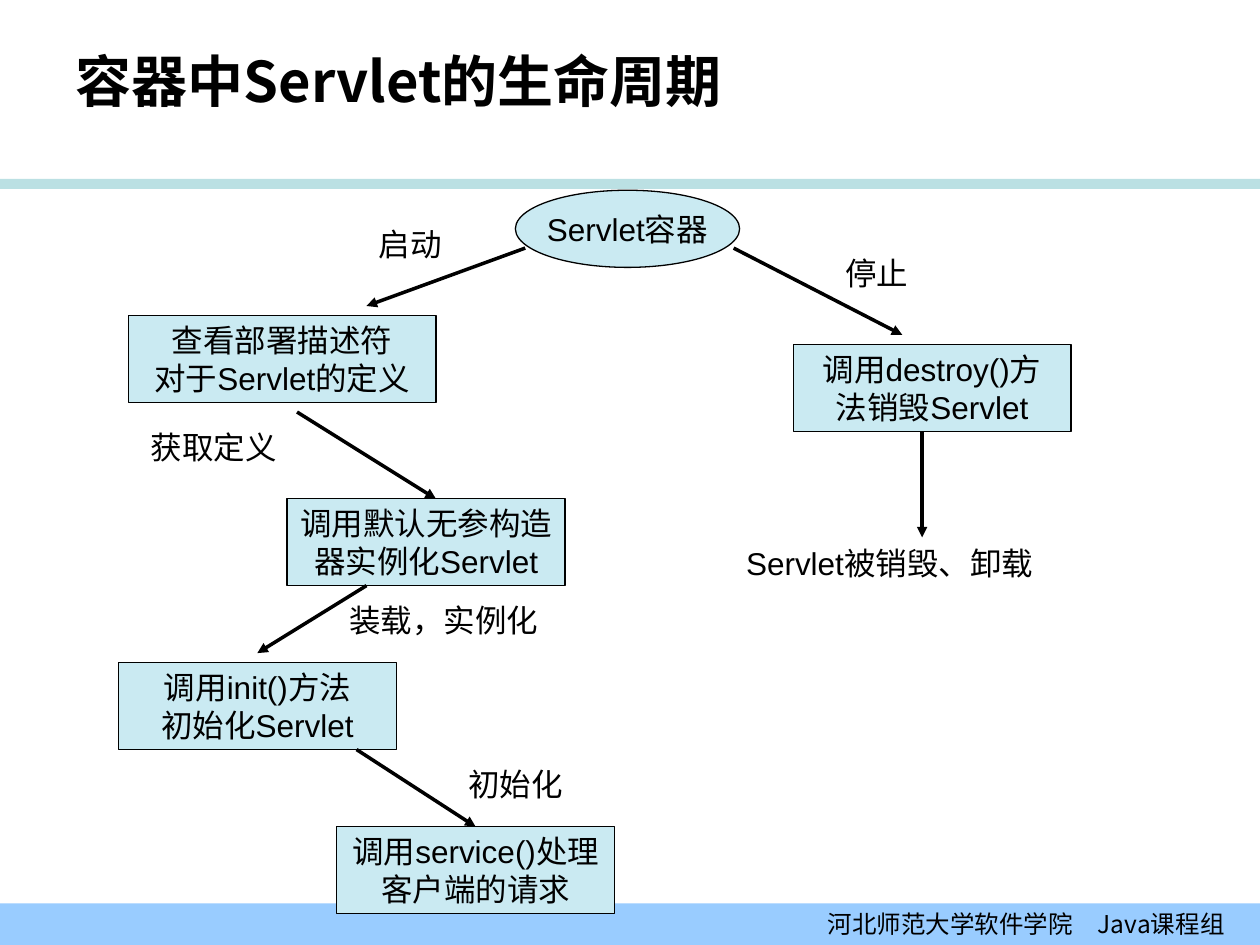
from lxml import etree
from pptx import Presentation
from pptx import util as u
from pptx.dml.color import RGBColor
from pptx.enum import shapes, text
from pptx.oxml.ns import qn

BLACK = RGBColor(0x00, 0x00, 0x00)
WHITE = RGBColor(0xFF, 0xFF, 0xFF)
RULE = RGBColor(0xBB, 0xE0, 0xE3)
BAND = RGBColor(0x99, 0xCC, 0xFF)
STEP = RGBColor(0xCA, 0xEA, 0xF2)
CJK = "Noto Sans CJK SC"
LATIN = "Arial"
COLUMNS, ROWS = 96, 75
RECT = shapes.MSO_SHAPE.RECTANGLE
OVAL = shapes.MSO_SHAPE.OVAL
LEFT, CENTER, RIGHT = (text.PP_ALIGN.LEFT, text.PP_ALIGN.CENTER,
                       text.PP_ALIGN.RIGHT)
MIDDLE, TOP = text.MSO_ANCHOR.MIDDLE, text.MSO_ANCHOR.TOP

STEPS = [
    (OVAL, 40, 0, 22.6, 8, ["Servlet容器"]),
    (RECT, 1, 13, 31, 9, ["查看部署描述符", "对于Servlet的定义"]),
    (RECT, 17, 32, 28, 9, ["调用默认无参构造", "器实例化Servlet"]),
    (RECT, 0, 49, 28, 9, ["调用init()方法", "初始化Servlet"]),
    (RECT, 22, 66, 28, 9, ["调用service()处理", "客户端的请求"]),
    (RECT, 68, 16, 28, 9, ["调用destroy()方", "法销毁Servlet"]),
]
TRANSITIONS = [
    (41, 6, 25, 12),
    (18, 23, 32, 32),
    (25, 41, 14, 48),
    (24, 58, 36, 66),
    (62, 6, 79, 15),
    (81, 25, 81, 36),
]
LABELS = [
    (25, 3, 9, "启动"),
    (2, 24, 15, "获取定义"),
    (22, 42, 21.5, "装载，实例化"),
    (34, 59, 12, "初始化"),
    (72, 6, 9, "停止"),
    (62, 36, 32, "Servlet被销毁、卸载"),
]


def apply(target, values):
    for name, value in values.items():
        setattr(target, name, value)


def write(shape, lines, align=LEFT, anchor=MIDDLE, font=LATIN, size=18,
          bold=False, right=0.1):
    frame = shape.text_frame
    apply(frame, dict(word_wrap=False, vertical_anchor=anchor,
                      auto_size=text.MSO_AUTO_SIZE.NONE,
                      margin_left=u.Inches(0.1), margin_right=u.Inches(right),
                      margin_top=u.Inches(0.05), margin_bottom=u.Inches(0.05)))
    for index, line in enumerate(lines):
        paragraph = frame.add_paragraph() if index else frame.paragraphs[0]
        paragraph.alignment = align
        run = paragraph.add_run()
        run.text = line
        apply(run.font, dict(name=font, size=u.Pt(size), bold=bold))
        run.font.color.rgb = BLACK
        east_asian = etree.SubElement(run.font._element, qn("a:ea"))
        east_asian.set("typeface", CJK)


def panel(parent, kind, box, fill, outline=None):
    shape = parent.add_shape(kind, *box)
    shape.shadow.inherit = False
    shape.fill.solid()
    shape.fill.fore_color.rgb = fill
    if outline is None:
        shape.line.fill.background()
    else:
        shape.line.color.rgb = outline
        shape.line.width = u.Pt(0.75)
    return shape


def arrow(parent, ends):
    line = parent.add_connector(shapes.MSO_CONNECTOR.STRAIGHT, *ends)
    line.line.color.rgb = BLACK
    line.line.width = u.Pt(2)
    outline = line.line._get_or_add_ln()
    etree.SubElement(outline, qn("a:tailEnd")).set("type", "triangle")
    etree.SubElement(line._element.spPr, qn("a:effectLst"))


def title_region(slide, box):
    title = slide.shapes.add_textbox(*box)
    write(title, ["容器中Servlet的生命周期"], font=CJK, size=32, bold=True)


def rule_region(slide, box):
    panel(slide.shapes, RECT, box, RULE)


def footer_region(slide, box):
    footer = panel(slide.shapes, RECT, box, BAND)
    write(footer, ["河北师范大学软件学院　Java课程组"], align=RIGHT,
          font=CJK, size=14, right=0.28)


def lifecycle_region(slide, box):
    left, top, width, height = box
    column, row = width / COLUMNS, height / ROWS

    def at(x, y):
        return int(left + x * column), int(top + y * row)

    def span(wide, high):
        return int(wide * column), int(high * row)

    diagram = slide.shapes.add_group_shape().shapes
    for kind, x, y, wide, high, lines in STEPS:
        step = panel(diagram, kind, at(x, y) + span(wide, high), STEP, BLACK)
        write(step, lines, align=CENTER)
    for x1, y1, x2, y2 in TRANSITIONS:
        arrow(diagram, at(x1, y1) + at(x2, y2))
    for x, y, wide, words in LABELS:
        label = diagram.add_textbox(*at(x, y), *span(wide, 5.25))
        write(label, [words], anchor=TOP)


def main():
    deck = Presentation()
    apply(deck, dict(slide_width=u.Inches(10), slide_height=u.Inches(7.5)))
    slide = deck.slides.add_slide(deck.slide_layouts[6])
    slide.background.fill.solid()
    slide.background.fill.fore_color.rgb = WHITE
    regions = [
        (rule_region, (0, 1.42, 10, 0.08)),
        (footer_region, (0, 7.17, 10, 0.33)),
        (title_region, (0.5, 0.21, 9, 0.85)),
        (lifecycle_region, (0.94, 1.51, 7.56, 5.74)),
    ]
    for build, box in regions:
        build(slide, [u.Inches(length) for length in box])
    deck.save("out.pptx")


if __name__ == "__main__":
    main()
